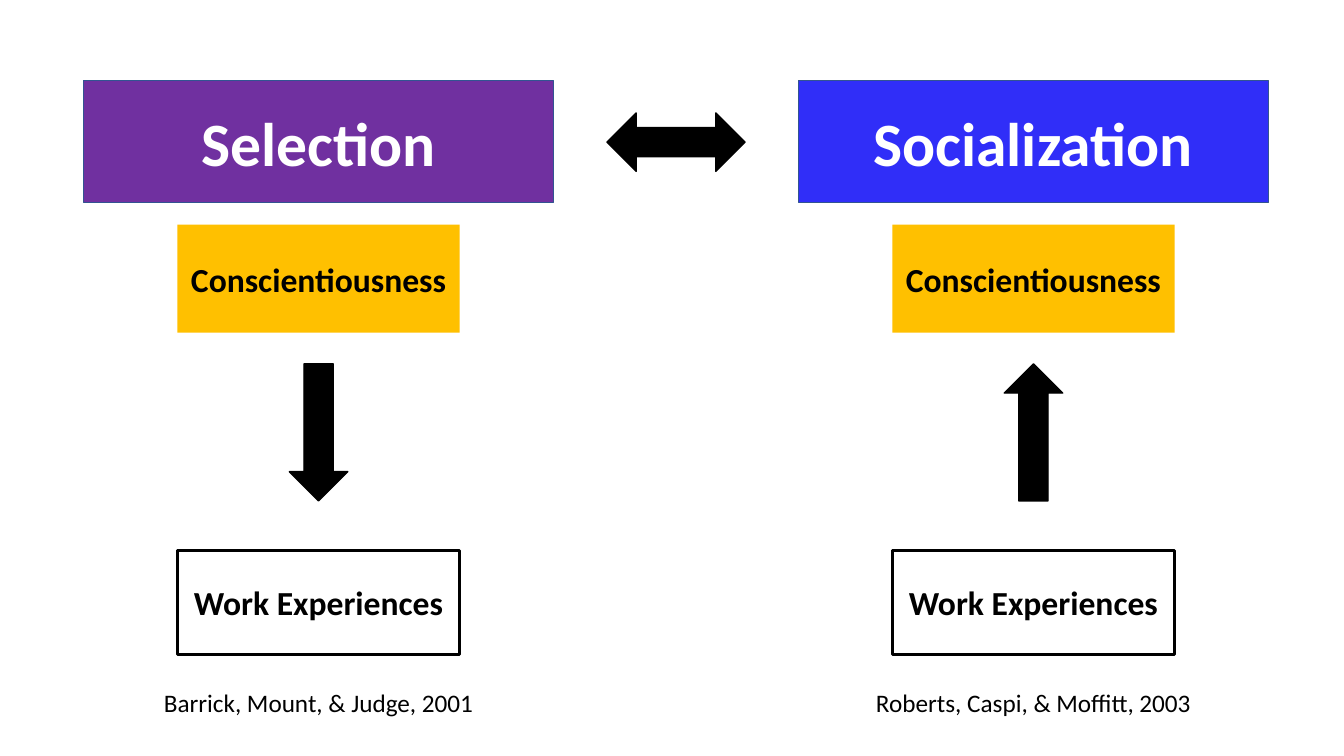
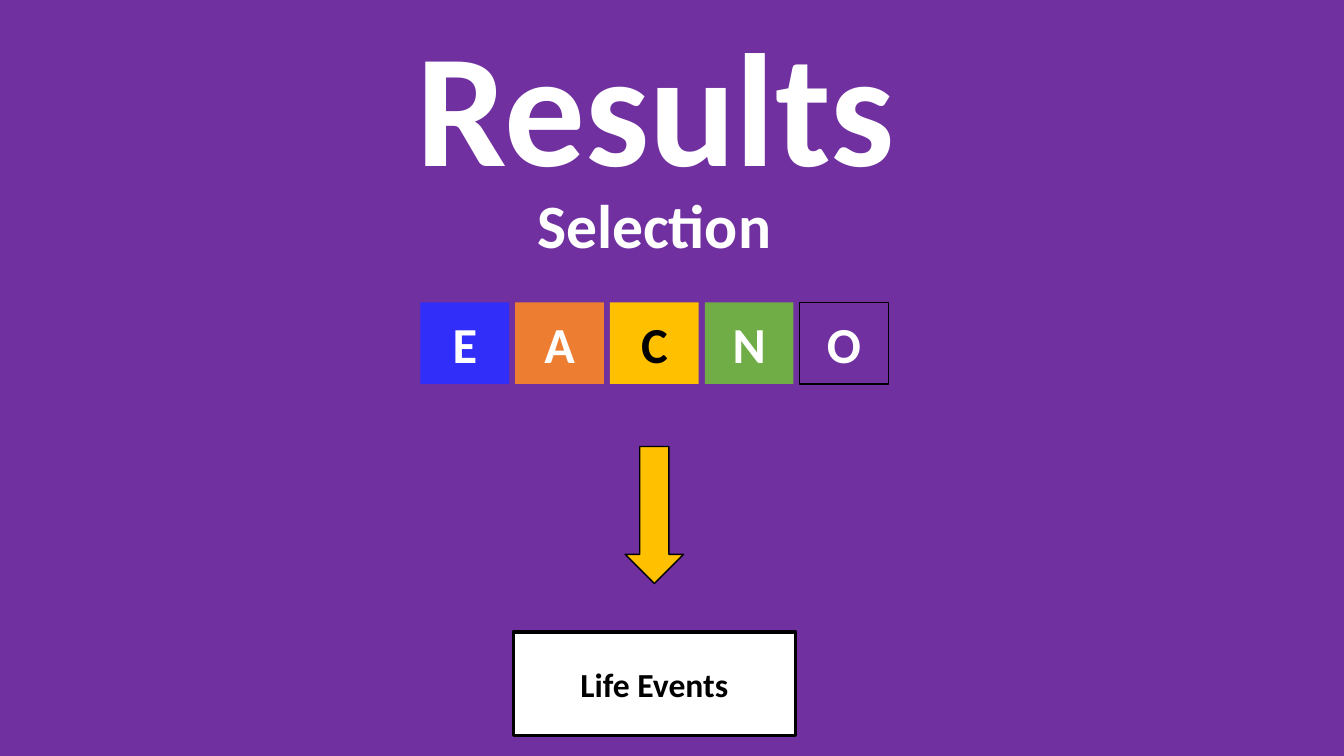
from dataclasses import dataclass
from typing import Optional

from pptx import Presentation
from pptx.dml.color import RGBColor
from pptx.enum.shapes import MSO_SHAPE
from pptx.enum.text import MSO_ANCHOR, MSO_AUTO_SIZE, PP_ALIGN
from pptx.util import Inches, Pt

HEX = {
    "purple": "7030A0", "blue": "302EF8", "gold": "FFC000", "orange": "ED7D31",
    "green": "70AD47", "navy": "325491", "white": "FFFFFF", "black": "000000",
}
FONT = "Calibri"
HEAD_W, HEAD_H = 4.66, 1.21
CARD_W, CARD_H = 2.8, 1.03
ARROW_W, ARROW_H = 0.58, 1.36


@dataclass
class Box:
    left: float
    top: float
    width: float
    height: float
    fill: Optional[str] = None
    line: Optional[str] = None
    weight: float = 1
    kind: MSO_SHAPE = MSO_SHAPE.RECTANGLE


@dataclass
class Label:
    text: str
    size: float
    color: str = "black"
    bold: bool = True


@dataclass
class Model:
    mid: float
    name: str
    color: str
    arrow: MSO_SHAPE
    source: str


@dataclass
class Trait:
    letter: str
    fill: str
    color: str = "white"
    line: Optional[str] = None


def rgb(name: str) -> RGBColor:
    return RGBColor.from_string(HEX[name])


def write(frame, label: Label, anchor=MSO_ANCHOR.MIDDLE) -> None:
    frame.word_wrap = True
    frame.auto_size = MSO_AUTO_SIZE.NONE
    frame.vertical_anchor = anchor
    para = frame.paragraphs[0]
    para.alignment = PP_ALIGN.CENTER
    run = para.add_run()
    run.text = label.text
    run.font.name = FONT
    run.font.size = Pt(label.size)
    run.font.bold = label.bold
    run.font.color.rgb = rgb(label.color)


def draw(slide, box: Box, label: Optional[Label] = None) -> None:
    shape = slide.shapes.add_shape(
        box.kind, Inches(box.left), Inches(box.top), Inches(box.width), Inches(box.height))
    shape.shadow.inherit = False
    if box.fill:
        shape.fill.solid()
        shape.fill.fore_color.rgb = rgb(box.fill)
    else:
        shape.fill.background()
    if box.line:
        shape.line.color.rgb = rgb(box.line)
        shape.line.width = Pt(box.weight)
    else:
        shape.line.fill.background()
    if label:
        write(shape.text_frame, label)


def caption(slide, box: Box, label: Label, anchor=MSO_ANCHOR.MIDDLE) -> None:
    text = slide.shapes.add_textbox(
        Inches(box.left), Inches(box.top), Inches(box.width), Inches(box.height))
    write(text.text_frame, label, anchor)


def card(slide, mid: float, top: float, text: str, fill: Optional[str] = None) -> None:
    draw(slide, Box(mid - CARD_W / 2, top, CARD_W, CARD_H, fill, "black", 2.25),
         Label(text, 24))


def arrow(slide, mid: float, top: float, fill: str, kind=MSO_SHAPE.DOWN_ARROW) -> None:
    draw(slide, Box(mid - ARROW_W / 2, top, ARROW_W, ARROW_H, fill, "black", kind=kind))


def paint(slide, color: str) -> None:
    slide.background.fill.solid()
    slide.background.fill.fore_color.rgb = rgb(color)


def models(deck) -> None:
    slide = deck.slides.add_slide(deck.slide_layouts[6])
    paint(slide, "white")
    pair = [
        Model(3.16, "Selection", "purple", MSO_SHAPE.DOWN_ARROW,
              "Barrick, Mount, & Judge, 2001"),
        Model(10.25, "Socialization", "blue", MSO_SHAPE.UP_ARROW,
              "Roberts, Caspi, & Moffitt, 2003"),
    ]
    # One column per model
    for item in pair:
        draw(slide, Box(item.mid - HEAD_W / 2, 0.8, HEAD_W, HEAD_H, item.color, "navy"),
             Label(item.name, 44, "white"))
        draw(slide, Box(item.mid - CARD_W / 2, 2.23, CARD_W, 1.07, "gold"),
             Label("Conscientiousness", 24))
        arrow(slide, item.mid, 3.61, "black", item.arrow)
        card(slide, item.mid, 5.46, "Work Experiences")
        caption(slide, Box(item.mid - 1.98, 6.77, 3.96, 0.4),
                Label(item.source, 18, bold=False), MSO_ANCHOR.TOP)
    # Link between the two headings
    draw(slide, Box(6.02, 1.12, 1.37, ARROW_W, "black", "black",
                    kind=MSO_SHAPE.LEFT_RIGHT_ARROW))


def results(deck) -> None:
    slide = deck.slides.add_slide(deck.slide_layouts[5])
    paint(slide, "purple")
    mid = 6.49
    # Title and subtitle
    title = slide.shapes.title
    title.left, title.top = Inches(3.84), Inches(0)
    title.width, title.height = Inches(5.33), Inches(2.04)
    write(title.text_frame, Label("Results", 115, "white"), MSO_ANCHOR.TOP)
    caption(slide, Box(mid - HEAD_W / 2, 1.62, HEAD_W, HEAD_H),
            Label("Selection", 44, "white"))
    # Row of traits
    traits = [
        Trait("E", "blue"), Trait("A", "orange"), Trait("C", "gold", "black"),
        Trait("N", "green"), Trait("O", "purple", line="black"),
    ]
    wide, step = 0.88, 0.94
    start = mid - (step * (len(traits) - 1) + wide) / 2
    for i, item in enumerate(traits):
        draw(slide, Box(start + i * step, 3, wide, 0.81, item.fill, item.line),
             Label(item.letter, 36, item.color))
    # Outcome
    arrow(slide, mid, 4.43, "gold")
    card(slide, mid, 6.27, "Life Events", "white")


def main() -> None:
    deck = Presentation()
    deck.slide_width, deck.slide_height = Inches(13.33), Inches(7.5)
    models(deck)
    results(deck)
    deck.save("out.pptx")


if __name__ == "__main__":
    main()
